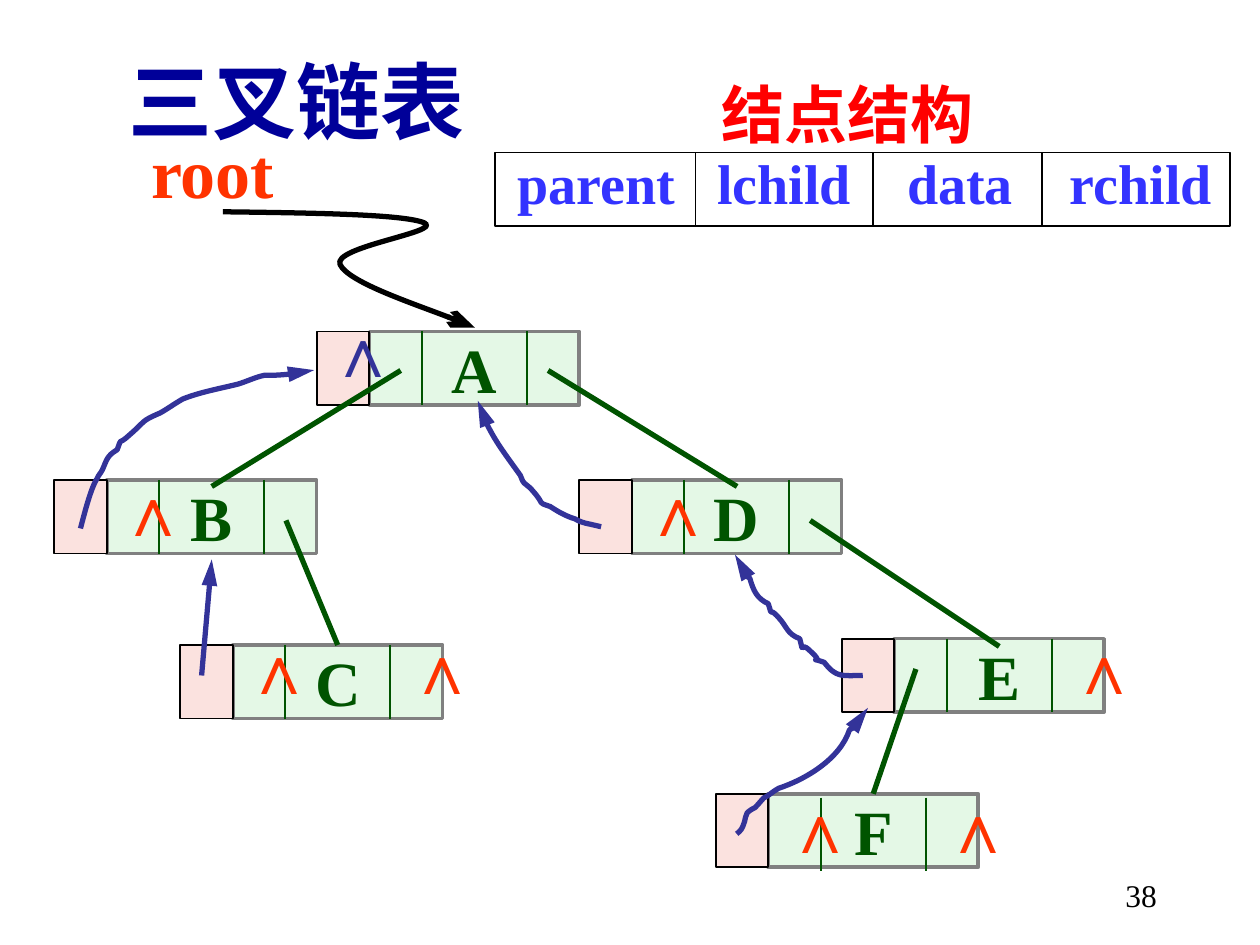
from itertools import chain

from lxml.etree import SubElement
from pptx import Presentation
from pptx.dml.color import RGBColor
from pptx.enum.shapes import MSO_CONNECTOR as Connector, MSO_SHAPE as Preset
from pptx.enum.text import MSO_ANCHOR as Anchor, MSO_AUTO_SIZE as AutoSize, PP_ALIGN as Align
from pptx.oxml.ns import qn
from pptx.util import Pt

BLACK = RGBColor(0, 0, 0)
GRAY = RGBColor(0x80, 0x80, 0x80)
GREEN = RGBColor(0x00, 0x54, 0x00)
PALE_GREEN = RGBColor(0xCA, 0xF2, 0xCE)
PINK = RGBColor(0xFB, 0xE2, 0xDF)
ORANGE = RGBColor(0xFF, 0x33, 0x00)
RED = RGBColor(0xFF, 0, 0)
NAVY = RGBColor(0, 0, 0x99)
INDIGO = RGBColor(0x33, 0x33, 0x99)
BLUE = RGBColor(0x33, 0x33, 0xFF)

SERIF = "Times New Roman"
SANS = "Arial"
CJK = "Noto Sans CJK SC"

CELL = 30
HEIGHT = 42
NODES = {
    "A": (181, 189.4),
    "D": (331, 274.3),
    "E": (481, 365),
    "B": (31, 274.3),
    "C": (103, 368.6),
    "F": (409, 453.6),
}
DIVIDER_DROP = {"F": 2.2}
NULL_MARKS = [
    (442, 444.2, ORANGE), (532, 444.2, ORANGE), (604, 353.5, ORANGE),
    (360.7, 262.8, ORANGE), (132.5, 353.5, ORANGE), (226, 353.5, ORANGE),
    (60.5, 262.8, ORANGE), (180.7, 172, INDIGO),
]
CHILD_LINKS = [
    ((229, 211.7), (121, 278), None),
    ((313.2, 211.7), (421.2, 278), None),
    ((163.4, 297.4), (193, 368.6), "C"),
    ((463, 297.4), (571, 369.4), None),
    ((523.4, 382.3), (499, 453.6), "F"),
]
ROOT_CURVE = [
    (127.4, 121), (179.3, 121.7), (231.1, 122.4), (242.6, 127.4),
    (253.4, 132.5), (189.4, 141.1), (194.4, 151.2),
    (199.4, 161.3), (258.5, 181.4), (271.4, 187.2),
]
B_TO_A = [
    (46, 302), (48, 294.5), (52, 278.5), (55.5, 273.5),
    (56, 272), (57.5, 270.5), (58.5, 268.5), (61, 263), (61, 260.5), (67, 257),
    (70, 249), (67, 255), (73.5, 249), (84, 240), (80, 241), (91.5, 236),
    (96, 233.5), (100, 230.5), (104.5, 228), (114.5, 224), (126, 222), (136, 219.5),
    (141, 218), (146, 215.5), (151, 214.5), (158.5, 214.5), (165, 214), (172, 213),
    (175, 213), (179.5, 211.5), (179.5, 211.5),
]
A_FROM_D = [
    (273, 229), (277, 244), (287.5, 258), (296.5, 270.5),
    (298, 272), (298, 274.5), (299.5, 276), (301, 277.5), (303, 278.5), (304, 280),
    (312.5, 289.5), (306, 286.5), (314.5, 289.5), (319, 292.5), (323.5, 295), (328.5, 296.5),
    (331, 298), (334, 299), (337, 299.5), (339, 300), (343.5, 301), (343.5, 301),
]
D_FROM_E = [
    (420, 317), (422, 324), (423.5, 327), (428.5, 330.5),
    (430.5, 337.5), (432.5, 342), (439, 345), (442, 354.5), (438.5, 345.5), (445, 353),
    (450, 358.5), (449.5, 362), (457, 365), (460, 376.5), (456, 365), (463, 372),
    (473, 381), (459.5, 374.5), (471, 378.5), (478, 387.5), (481, 386), (493, 386),
]
E_FROM_F = [
    (496, 404.5), (489.5, 416), (493, 413.5), (485.5, 417),
    (480, 434), (460, 445.5), (445, 450.5), (442, 452), (439, 455), (436.5, 456),
    (435, 457.5), (433.5, 459.5), (431.5, 461.5), (430.5, 462), (428.5, 463), (427, 464.5),
    (426, 466), (426, 468), (425.5, 469.5), (424, 474), (423.5, 474.5), (421, 476.5),
]


def write(shape, text, size, color, font=SERIF, east_asian=None, bold=True,
          align=Align.LEFT, wrap=False):
    text_frame = shape.text_frame
    text_frame.text = text
    text_frame.word_wrap = wrap
    paragraph = text_frame.paragraphs[0]
    paragraph.alignment = align
    run = paragraph.runs[0]
    run.font.size = Pt(size)
    run.font.bold = bold
    run.font.color.rgb = color
    run.font.name = font
    SubElement(run.font._element, qn("a:ea"), typeface=east_asian or font)
    return paragraph


def add_text(slide, left, top, width, height, text, size, color, grow=True, **style):
    box = slide.shapes.add_textbox(Pt(left), Pt(top), Pt(width), Pt(height))
    paragraph = write(box, text, size, color, **style)
    box.text_frame.auto_size = AutoSize.SHAPE_TO_FIT_TEXT if grow else AutoSize.NONE
    return paragraph


def add_rectangle(slide, left, top, width, height, fill, line, weight):
    shape = slide.shapes.add_shape(Preset.RECTANGLE, Pt(left), Pt(top), Pt(width), Pt(height))
    shape.shadow.inherit = False
    if fill is None:
        shape.fill.background()
    else:
        shape.fill.solid()
        shape.fill.fore_color.rgb = fill
    shape.line.color.rgb = line
    shape.line.width = Pt(weight)
    return shape


def set_stroke(shape, color, weight, head=None, tail=None):
    shape.line.color.rgb = color
    shape.line.width = Pt(weight)
    for tag, kind in (("a:headEnd", head), ("a:tailEnd", tail)):
        if kind:
            SubElement(shape.line._get_or_add_ln(), qn(tag), type=kind, w="med", len="lg")


def add_line(slide, start, end, color, weight, **arrows):
    ends = [Pt(value) for value in chain(start, end)]
    connector = slide.shapes.add_connector(Connector.STRAIGHT, *ends)
    set_stroke(connector, color, weight, **arrows)
    SubElement(connector._element.spPr, qn("a:effectLst"))
    return connector


def add_curve(slide, points, color, **arrows):
    start, *rest = [(Pt(x), Pt(y)) for x, y in points]
    builder = slide.shapes.build_freeform(*start)
    builder.add_line_segments(rest, close=False)
    shape = builder.convert_to_shape()
    segments = list(shape._element.iter(qn("a:lnTo")))
    outline = segments[0].getparent()
    for index in range(0, len(segments), 3):
        bezier = SubElement(outline, qn("a:cubicBezTo"))
        for segment in segments[index:index + 3]:
            bezier.append(segment[0])
            outline.remove(segment)
    shape.shadow.inherit = False
    shape.fill.background()
    set_stroke(shape, color, 3, **arrows)


def add_dividers(slide, positions, top, color):
    for x in positions:
        add_line(slide, (x, top), (x, top + HEIGHT), color, 1)


def add_node(slide, name, left, top):
    body_left = left + CELL
    body = add_rectangle(slide, body_left, top, 4 * CELL, HEIGHT, PALE_GREEN, GRAY, 2)
    color = body.fill._xPr.find(qn("a:solidFill"))[0]
    SubElement(color, qn("a:alpha"), val="50000")
    write(body, name, 36, GREEN, align=Align.CENTER)
    body.text_frame.vertical_anchor = Anchor.MIDDLE
    divider_top = top + DIVIDER_DROP.get(name, 0)
    add_dividers(slide, (body_left + CELL, body_left + 3 * CELL), divider_top, GREEN)
    add_rectangle(slide, left, top, CELL, HEIGHT, PINK, BLACK, 1)
    return body


def add_title(slide):
    title = slide.shapes.title
    title.left, title.top, title.width, title.height = Pt(66.2), Pt(24.5), Pt(220), Pt(65)
    write(title, "三叉链表", 48, NAVY, font=CJK, wrap=True)
    title.text_frame.vertical_anchor = Anchor.TOP
    title.text_frame.auto_size = AutoSize.NONE


def add_node_structure(slide):
    add_text(slide, 405.4, 39.6, 181.4, 50.4, "结点结构", 36, RED, east_asian=CJK, wrap=True)
    paragraph = add_text(slide, 288.7, 81.4, 411.8, 46, "parent\tlchild\tdata\trchild", 32, BLUE)
    tabs = SubElement(paragraph._p.get_or_add_pPr(), qn("a:tabLst"))
    for position in (114, 222.5, 315.5):
        SubElement(tabs, qn("a:tab"), pos=str(Pt(position)), algn="l")
    add_rectangle(slide, 283, 87.1, 420, HEIGHT, None, BLACK, 1)
    add_dividers(slide, (397.4, 499, 595.4), 87.1, BLACK)


def main():
    presentation = Presentation()
    presentation.slide_width, presentation.slide_height = Pt(720), Pt(540)
    slide = presentation.slides.add_slide(presentation.slide_layouts[5])
    add_title(slide)
    bodies = {name: add_node(slide, name, *place) for name, place in NODES.items()}
    for left, top, color in NULL_MARKS:
        add_text(slide, left, top, 27.4, 55.4, "∧", 40, color, font=SANS)
    for start, end, child in CHILD_LINKS:
        link = add_line(slide, start, end, GREEN, 3)
        if child:
            link.end_connect(bodies[child], 0)
    add_text(slide, 79.2, 69.8, 85, 55.4, "root", 40, ORANGE)
    add_curve(slide, ROOT_CURVE, BLACK, tail="arrow")
    add_curve(slide, B_TO_A, INDIGO, tail="triangle")
    add_line(slide, (121, 319.7), (115.2, 386), INDIGO, 3, head="triangle")
    for points in (A_FROM_D, D_FROM_E, E_FROM_F):
        add_curve(slide, points, INDIGO, head="triangle")
    add_node_structure(slide)
    add_text(slide, 518.4, 496.8, 149.8, 36, "38", 18, BLACK,
             grow=False, bold=False, align=Align.RIGHT, wrap=True)
    presentation.save("out.pptx")


if __name__ == "__main__":
    main()
